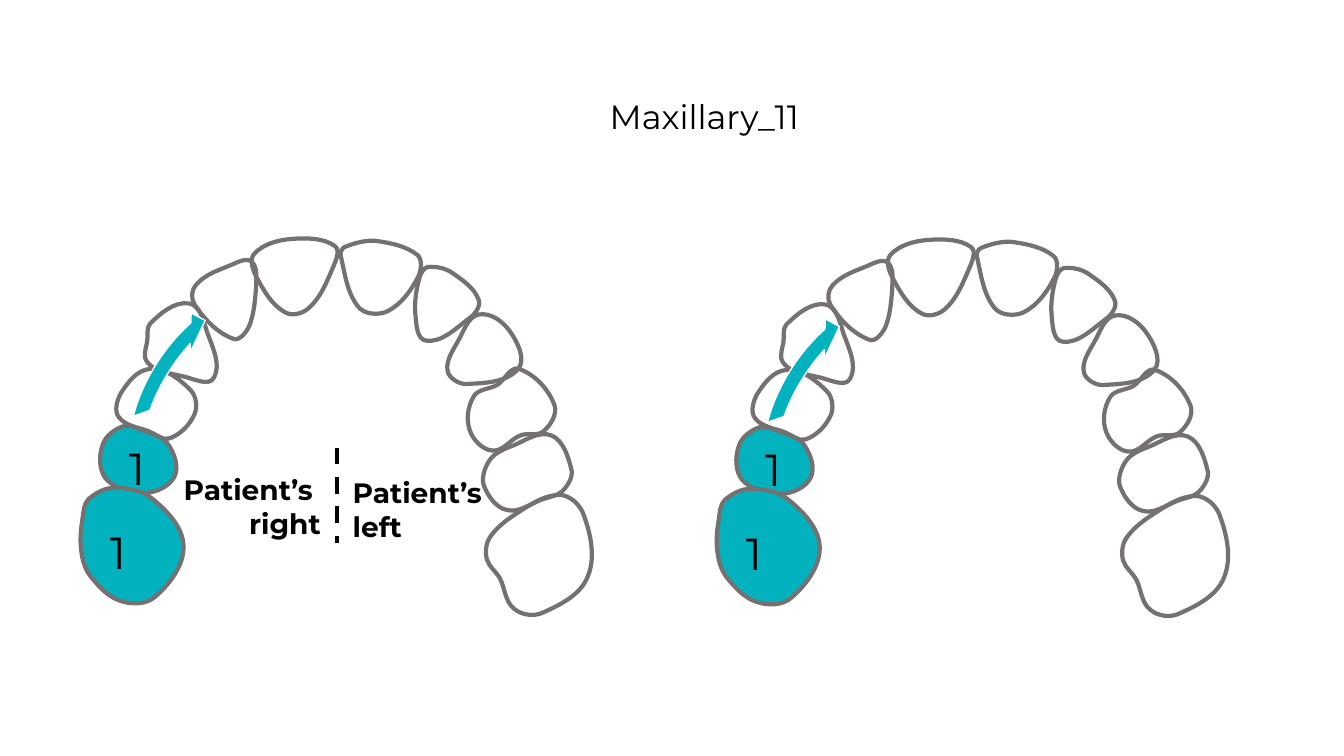
from math import dist

from pptx import Presentation
from pptx.dml.color import RGBColor
from pptx.enum.dml import MSO_LINE
from pptx.enum.shapes import MSO_CONNECTOR, MSO_SHAPE
from pptx.enum.text import MSO_AUTO_SIZE, PP_ALIGN
from pptx.oxml.ns import qn
from pptx.util import Inches, Pt

COLORS = {"ink": "000000", "outline": "767171", "teal": "02B2BE", "white": "FFFFFF"}
COLUMNS, ROWS = 1333, 750  # grid over the 13.33 x 7.5 inch slide
CELL = Inches(0.01)

# Teeth of the left arch: fill and the points its smooth outline runs through
TEETH = [
    # Patient's left, front to back
    (None, [(342, 245), (338, 254), (355, 304), (384, 309), (415, 274), (414, 253), (373, 239)]),
    (None, [(416, 276), (412, 311), (423, 338), (464, 317), (475, 298), (449, 271), (424, 265)]),
    (None, [(444, 368), (454, 339), (475, 312), (506, 329), (514, 366), (462, 381)]),
    (None, [(515, 366), (493, 382), (470, 393), (466, 427), (488, 447), (516, 432),
            (539, 428), (550, 402)]),
    (None, [(509, 442), (486, 456), (480, 482), (503, 506), (539, 495), (558, 487),
            (567, 467), (547, 432)]),
    (None, [(510, 511), (486, 533), (483, 555), (496, 574), (510, 604), (538, 608),
            (583, 572), (579, 511), (555, 491)]),
    # Patient's right, front to back
    ("white", [(332, 244), (330, 266), (307, 305), (283, 310), (255, 276), (252, 252),
               (290, 237)]),
    (None, [(195, 282), (193, 302), (231, 336), (247, 324), (254, 285), (250, 260), (229, 263)]),
    (None, [(146, 339), (144, 355), (153, 365), (180, 373), (212, 375), (205, 328),
            (187, 301), (149, 321)]),
    (None, [(120, 390), (149, 366), (189, 387), (193, 411), (168, 435), (148, 428), (118, 414)]),
    ("teal", [(102, 441), (122, 423), (139, 426), (167, 441), (173, 473), (143, 489),
              (105, 475)]),
    ("teal", [(81, 549), (90, 572), (119, 596), (154, 592), (182, 541), (150, 494),
              (113, 484), (88, 495), (82, 514)]),
]


def handle(point, before, after, length):
    """Move from a point along the direction between its neighbours."""
    share = length / dist(before, after)
    return tuple(p + (a - b) * share for p, b, a in zip(point, before, after))


def smooth_steps(points):
    """Give two handles and an end point for each side of a closed outline."""
    steps = []
    for index, end in enumerate(points):
        before, start = points[index - 2], points[index - 1]
        after = points[(index + 1) % len(points)]
        third = dist(start, end) / 3
        steps += [handle(start, before, end, third), handle(end, start, after, -third), end]
    return steps


class ArchPage:
    """Draws on one slide in grid columns and rows."""

    def __init__(self, deck, font="Montserrat"):
        self.page = deck.slides.add_slide(deck.slide_layouts[6])
        self.font = font
        self.shapes = self.page.shapes

    def start_group(self):
        self.shapes = self.page.shapes.add_group_shape().shapes

    def color(self, name):
        return RGBColor.from_string(COLORS[name])

    def paint(self, shape, fill, line, width):
        shape.shadow.inherit = False
        if fill:
            shape.fill.solid()
            shape.fill.fore_color.rgb = self.color(fill)
        else:
            shape.fill.background()
        shape.line.color.rgb = self.color(line)
        shape.line.width = Pt(width)

    def text(self, place, lines, size, bold=False, align=PP_ALIGN.LEFT):
        frame = self.shapes.add_textbox(*(value * CELL for value in place)).text_frame
        frame.word_wrap = True
        frame.auto_size = MSO_AUTO_SIZE.SHAPE_TO_FIT_TEXT
        frame.text = "\n".join(lines)
        for para in frame.paragraphs:
            para.alignment = align
            para.font.name = self.font
            para.font.size = Pt(size)
            para.font.bold = bold
            para.font.color.rgb = self.color("ink")

    def midline(self, column, top, bottom):
        line = self.shapes.add_connector(
            MSO_CONNECTOR.STRAIGHT, column * CELL, top * CELL, column * CELL, bottom * CELL)
        line.line.color.rgb = self.color("ink")
        line.line.width = Pt(3)
        line.line.dash_style = MSO_LINE.DASH
        properties = line.element.spPr
        properties.append(properties.makeelement(qn("a:effectLst"), {}))

    def tooth(self, fill, points, right, down):
        builder = self.shapes.build_freeform(*points[-1], scale=CELL)
        builder.add_line_segments(smooth_steps(points), close=True)
        tooth = builder.convert_to_shape(right * CELL, down * CELL)
        # Turn each three straight steps into one cubic curve
        steps = list(tooth.element.iter(qn("a:lnTo")))
        for first in range(0, len(steps), 3):
            curve = steps[first].makeelement(qn("a:cubicBezTo"), {})
            steps[first].addprevious(curve)
            for step in steps[first:first + 3]:
                curve.append(step[0])
                step.getparent().remove(step)
        self.paint(tooth, fill, "outline", 3)

    def arrow(self, left, top):
        arrow = self.shapes.add_shape(
            MSO_SHAPE.CIRCULAR_ARROW, left * CELL, top * CELL, 235 * CELL, 133 * CELL)
        for index, value in enumerate((0.11, 8.27, 189, 130.56, 0.15)):
            arrow.adjustments[index] = value
        arrow.rotation = 122.9
        for flip in ("flipH", "flipV"):
            arrow.element.spPr.xfrm.set(flip, "1")
        self.paint(arrow, "teal", "white", 1)

    def arch(self, right, down, arrow_at):
        for fill, points in TEETH:
            self.tooth(fill, points, right, down)
        for left, top in ((99, 516), (118, 432)):
            self.text((left + right, top + down, 65, 64), ["1"], 32)
        self.arrow(*arrow_at)


def main():
    deck = Presentation()
    deck.slide_width, deck.slide_height = COLUMNS * CELL, ROWS * CELL
    page = ArchPage(deck)

    # Title
    page.text((565, 90, 276, 50), ["Maxillary_11 "], 24, align=PP_ALIGN.CENTER)

    # Left arch with side labels and midline
    page.start_group()
    page.text((107, 464, 221, 77), ["Patient’s ", "right"], 20, True, PP_ALIGN.RIGHT)
    page.text((340, 467, 154, 77), ["Patient’s", "left"], 20, True)
    page.midline(334, 444, 539)
    page.arch(0, 0, arrow_at=(84, 322))

    # Right arch
    page.start_group()
    page.arch(631, 1, arrow_at=(713, 328))

    deck.save("out.pptx")


if __name__ == "__main__":
    main()
